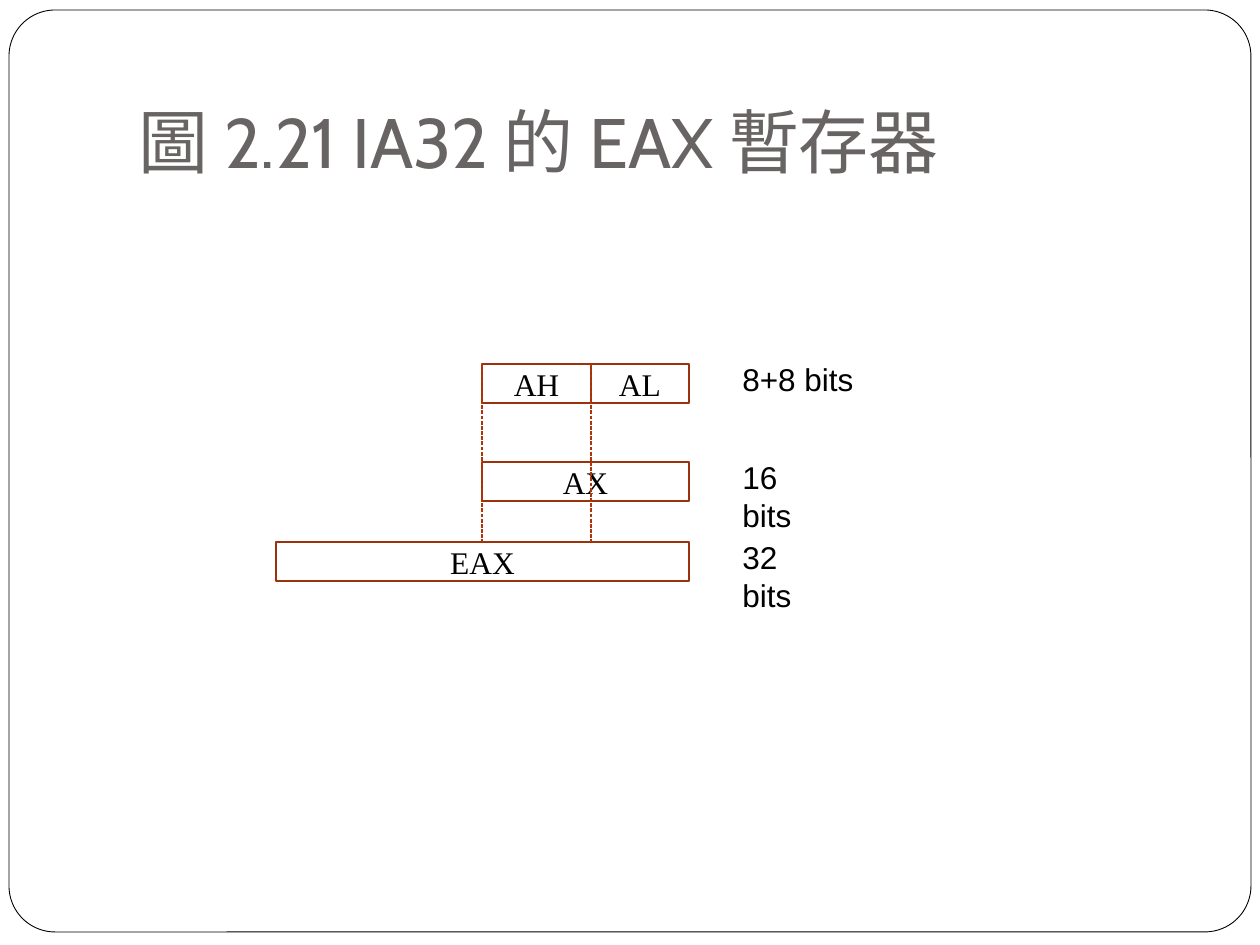
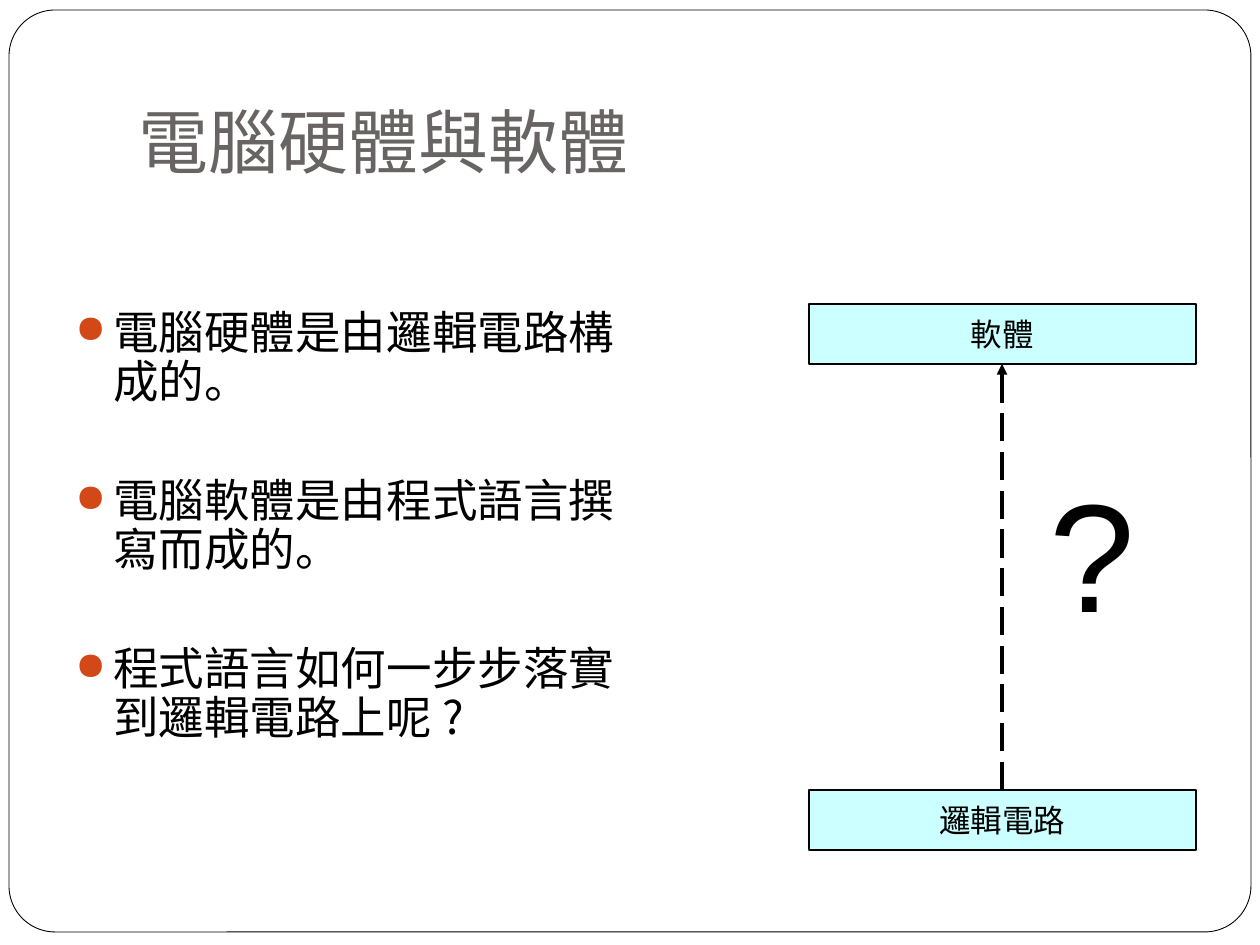
"""Build two slides on the EAX register and on computer hardware and software."""
from lxml import etree
from pptx import Presentation
from pptx import util as u
from pptx.dml.color import RGBColor
from pptx.enum import dml, shapes, text
from pptx.oxml import ns

BLACK = RGBColor(0x00, 0x00, 0x00)
WHITE = RGBColor(0xFF, 0xFF, 0xFF)
GREY = RGBColor(0x69, 0x64, 0x64)
BROWN = RGBColor(0x9B, 0x32, 0x0E)
RUST = RGBColor(0xAF, 0x34, 0x08)
ORANGE = RGBColor(0xD3, 0x48, 0x17)
CYAN = RGBColor(0xCC, 0xFF, 0xFF)
CABIN, CJK, ARIAL, TIMES = "Cabin", "Noto Sans CJK SC", "Arial", "Times New Roman"

FRAME = (9, 10, 1242, 922)
TITLE_BOX = (126, 38, 1071, 157)

REGISTER_TITLE = "圖 2.21 IA32 的 EAX 暫存器"
EAX_LEFT, AX_LEFT, AL_LEFT, REGISTER_RIGHT = 276, 482, 591, 689
REGISTER_H = 39
LABEL_LEFT, LABEL_RISE = 730, 10
REGISTER_ROWS = [
    (542, "32 bits", 117, [("EAX", EAX_LEFT, REGISTER_RIGHT)]),
    (462, "16 bits", 117, [("AX", AX_LEFT, REGISTER_RIGHT)]),
    (364, "8+8 bits", 136, [("AH", AX_LEFT, AL_LEFT), ("AL", AL_LEFT, REGISTER_RIGHT)]),
]

LAYERS_TITLE = "電腦硬體與軟體"
BULLETS = [
    "電腦硬體是由邏輯電路構成的。",
    "電腦軟體是由程式語言撰寫而成的。",
    "程式語言如何一步步落實到邏輯電路上呢 ?",
]
BULLET_BOX, BULLET_INSET_TOP, BULLET_INDENT = (63, 237, 597, 607), 73, 38
LAYER_LEFT, LAYER_W, LAYER_H = 809, 387, 60
LAYERS = [("軟體", 304), ("邏輯電路", 790)]
QUESTION_BOX = (1037, 452, 111, 198)


def px(*values):
    return [u.Emu(round(v * 914400 / 126)) for v in values]


def sub(parent, tag, **attrs):
    return etree.SubElement(parent, ns.qn(tag), attrs)


def style(p, size, font, color=BLACK, align=text.PP_ALIGN.LEFT):
    p.alignment = align
    for r in p.runs:
        r.font.size, r.font.name, r.font.color.rgb = u.Pt(size), font, color
        sub(r.font._element, "a:ea", typeface=CABIN)


def add_box(s, at, line, width, fill=None, label="", font=ARIAL, kind=shapes.MSO_SHAPE.RECTANGLE):
    sp = s.shapes.add_shape(kind, *px(*at))
    sp.shadow.inherit = False
    if fill is None:
        sp.fill.background()
    else:
        sp.fill.solid()
        sp.fill.fore_color.rgb = fill
    sp.line.color.rgb, sp.line.width = line, u.Pt(width)
    tf = sp.text_frame
    tf.word_wrap = False
    tf.vertical_anchor = text.MSO_ANCHOR.MIDDLE
    if label:
        tf.text = label
        style(tf.paragraphs[0], 18, font, align=text.PP_ALIGN.CENTER)
    return sp


def add_label(s, at, label, size):
    tf = s.shapes.add_textbox(*px(*at)).text_frame
    tf.word_wrap = False
    tf.text = label
    style(tf.paragraphs[0], size, ARIAL)


def add_line(s, start, end, color, width, dash, arrow=False):
    c = s.shapes.add_connector(shapes.MSO_CONNECTOR.STRAIGHT, *px(*start, *end))
    c.line.color.rgb, c.line.width, c.line.dash_style = color, u.Pt(width), dash
    spPr = c._element.spPr
    if arrow:
        sub(spPr.find(ns.qn("a:ln")), "a:tailEnd", type="triangle")
    sub(spPr, "a:effectLst")


def add_slide(prs, layout, title, font):
    s = prs.slides.add_slide(layout)
    sp = s.shapes.title
    sp.left, sp.top, sp.width, sp.height = px(*TITLE_BOX)
    tf = sp.text_frame
    tf.text = title
    tf.auto_size = text.MSO_AUTO_SIZE.NONE
    tf.vertical_anchor = text.MSO_ANCHOR.BOTTOM
    tf.margin_bottom = u.Inches(0.1)
    style(tf.paragraphs[0], 40, font, GREY)
    return s


def add_frame(s, layout):
    sp = add_box(s, FRAME, BLACK, 0.5, WHITE, kind=shapes.MSO_SHAPE.ROUNDED_RECTANGLE)
    sp.adjustments[0] = 0.05
    layout.shapes._spTree.insert(2, sp._element)


def add_registers(s):
    for top, bits, width, registers in REGISTER_ROWS:
        for name, left, right in registers:
            add_box(s, (left, top, right - left, REGISTER_H), BROWN, 1, label=name, font=TIMES)
        add_label(s, (LABEL_LEFT, top - LABEL_RISE, width, 50), bits, 18)
    tops = [row[0] for row in REGISTER_ROWS]
    for x in (AL_LEFT, AX_LEFT):
        add_line(s, (x, min(tops)), (x, max(tops)), RUST, 0.75, dml.MSO_LINE.SQUARE_DOT)


def add_bullets(s):
    tf = s.shapes.add_textbox(*px(*BULLET_BOX)).text_frame
    tf.word_wrap = True
    tf.margin_top, indent = px(BULLET_INSET_TOP, BULLET_INDENT)
    for i, item in enumerate(BULLETS):
        p = tf.add_paragraph() if i else tf.paragraphs[0]
        p.text = item
        p.line_spacing = u.Pt(28)
        p.space_before = u.Pt(40 if i else 0)
        pPr = p._p.get_or_add_pPr()
        pPr.set("marL", str(indent))
        pPr.set("indent", str(-indent))
        sub(sub(pPr, "a:buClr"), "a:srgbClr", val=str(ORANGE))
        sub(pPr, "a:buSzPct", val="85000")
        sub(pPr, "a:buChar", char="●")
        style(p, 26, CJK)


def add_layers(s):
    for name, top in LAYERS:
        add_box(s, (LAYER_LEFT, top, LAYER_W, LAYER_H), BLACK, 0.75, CYAN, name)
    (_, software_top), (_, logic_top) = LAYERS
    middle = LAYER_LEFT + LAYER_W // 2
    add_line(s, (middle, logic_top), (middle, software_top + LAYER_H), BLACK, 2,
             dml.MSO_LINE.LONG_DASH, arrow=True)
    add_label(s, QUESTION_BOX, "?", 88)


def main():
    prs = Presentation()
    prs.slide_width, prs.slide_height = px(1260, 945)
    layout = prs.slide_layouts[5]
    s = add_slide(prs, layout, REGISTER_TITLE, CABIN)
    add_frame(s, layout)
    add_registers(s)
    s = add_slide(prs, layout, LAYERS_TITLE, CJK)
    add_bullets(s)
    add_layers(s)
    prs.save("out.pptx")


if __name__ == "__main__":
    main()
